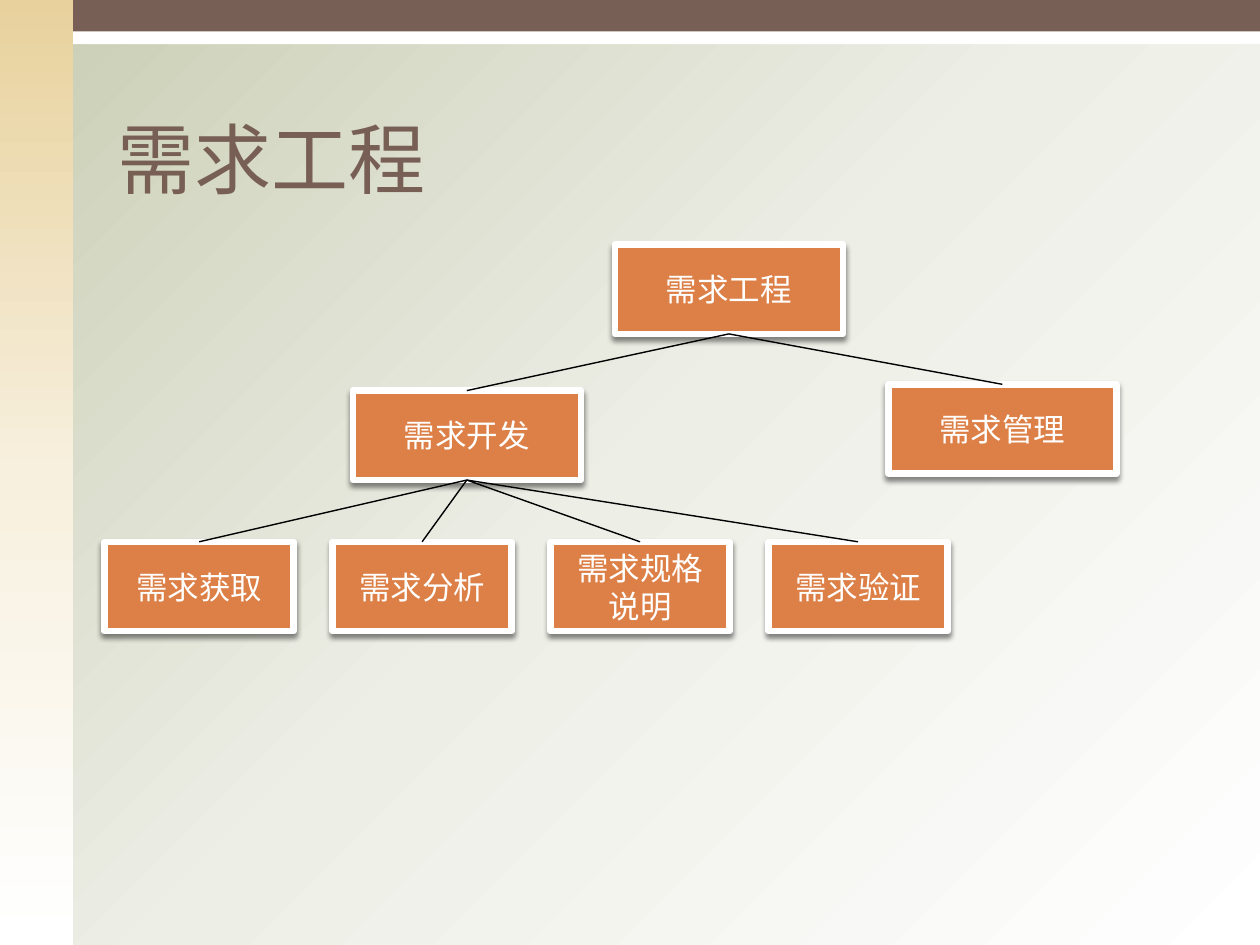
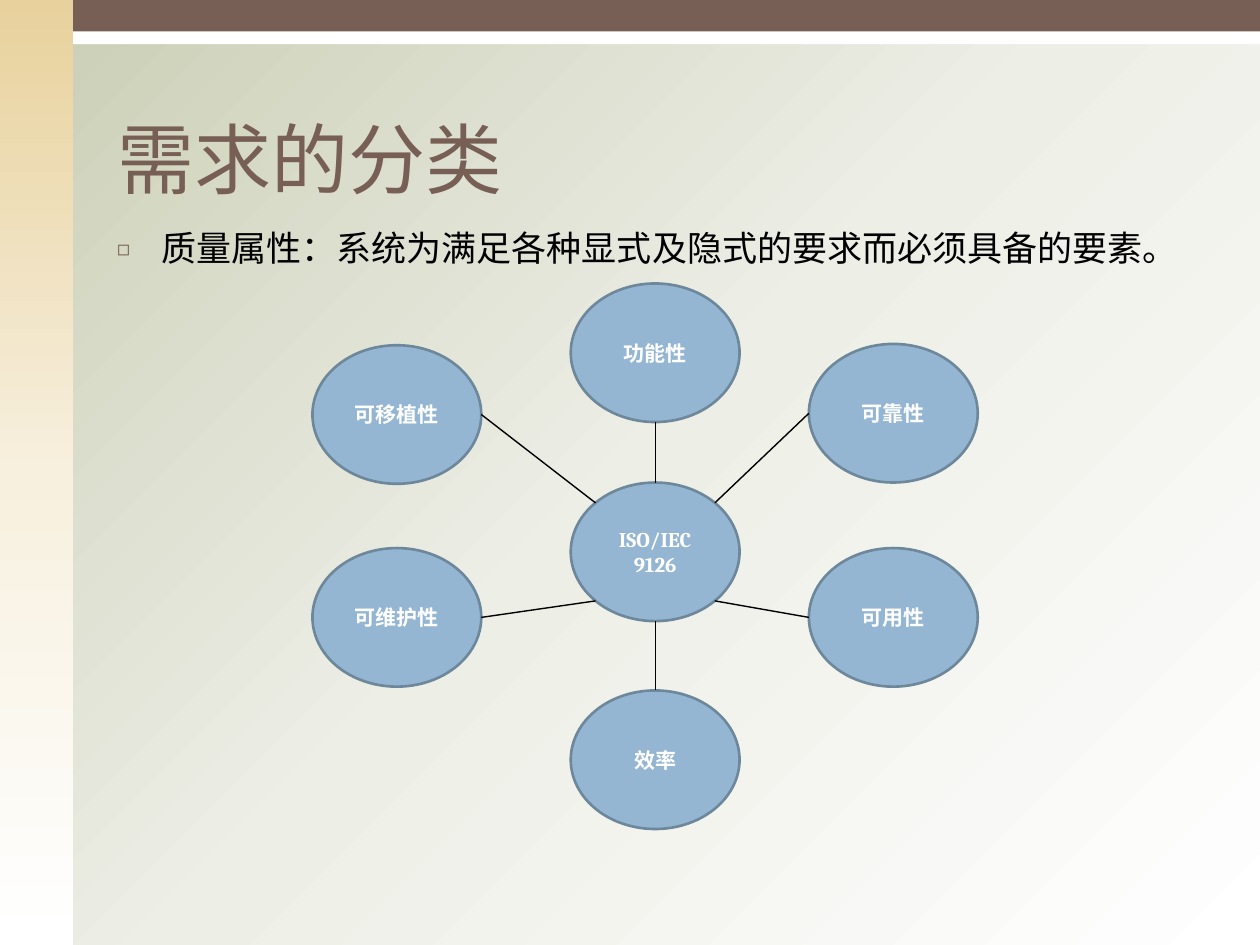
from copy import deepcopy
from dataclasses import dataclass
from math import sqrt

from lxml import etree
from pptx import Presentation
from pptx import util as u
from pptx.dml.color import RGBColor
from pptx.enum import shapes, text
from pptx.oxml import ns

PX = 9144  # EMU per px, 100 px to the inch
WIDE, HIGH = 1000, 750
KIND = shapes.MSO_SHAPE
ALIGN = text.PP_ALIGN


@dataclass(frozen=True)
class Theme:
    brown: str = "775F55"
    orange: str = "DD8047"
    blue: str = "94B6D2"
    slate: str = "6D879B"
    white: str = "FFFFFF"
    black: str = "000000"
    sage: tuple = ("C9CDB3", "EDEEE6", "FFFFFF")
    sand: tuple = ("E8D19D", "F7F0DE", "FFFFFF")
    han: str = "Noto Sans CJK SC"
    latin: str = "Cambria"
    head: int = 44
    body: int = 20
    box: int = 18
    node: int = 12
    thin: float = 0.79


def rgb(code):
    return RGBColor.from_string(code)


def px(*sizes):
    return [round(size * PX) for size in sizes]


def sub(parent, tag, **attrs):
    return etree.SubElement(parent, ns.qn(tag), attrs)


class Deck:
    def __init__(self, theme):
        self.theme = theme
        self.prs = Presentation()
        self.prs.slide_width, self.prs.slide_height = px(WIDE, HIGH)
        self.slide = None

    def page(self, layout, title):
        self.slide = self.prs.slides.add_slide(self.prs.slide_layouts[layout])
        head = self.slide.shapes.title
        self.place(head, 83, 42, 875, 125, text.MSO_ANCHOR.BOTTOM)
        self.label(head, [title], self.theme.head, self.theme.brown,
                   ALIGN.LEFT)

    def place(self, item, x, y, w, h, anchor):
        item.left, item.top, item.width, item.height = px(x, y, w, h)
        item.text_frame.auto_size = text.MSO_AUTO_SIZE.NONE
        item.text_frame.vertical_anchor = anchor

    def label(self, item, rows, size, color, align, bold=False, face=None):
        face = face or self.theme.han
        frame = item.text_frame
        frame.word_wrap = True
        for i, row in enumerate(rows):
            para = frame.add_paragraph() if i else frame.paragraphs[0]
            para.alignment = align
            run = para.add_run()
            run.text = row
            font = run.font
            font.size, font.bold, font.name = u.Pt(size), bold, face
            font.color.rgb = rgb(color)
            sub(run._r.get_or_add_rPr(), "a:ea", typeface=face)

    def bullet(self, words):
        item = self.slide.placeholders[1]
        self.place(item, 83, 175, 875, 58, text.MSO_ANCHOR.TOP)
        self.label(item, [words], self.theme.body, self.theme.black,
                   ALIGN.LEFT)
        para = item.text_frame.paragraphs[0]
        para.space_before = u.Pt(7)
        props = para._p.get_or_add_pPr()
        props.set("marL", str(35 * PX))
        props.set("indent", str(-35 * PX))
        sub(sub(props, "a:buClr"), "a:srgbClr", val=self.theme.brown)
        sub(props, "a:buSzPct", val="60000")
        sub(props, "a:buFont", typeface=self.theme.han)
        sub(props, "a:buChar", char="◻")

    def shape(self, kind, x, y, w, h, fill=None, edge=None, width=0):
        item = self.slide.shapes.add_shape(kind, *px(x, y, w, h))
        item.shadow.inherit = False
        if fill:
            item.fill.solid()
            item.fill.fore_color.rgb = rgb(fill)
        if edge:
            item.line.color.rgb = rgb(edge)
            item.line.width = u.Pt(width)
        else:
            item.line.fill.background()
        return item

    def grade(self, fill, root, colors, angle):
        fill.gradient()
        fill.gradient_angle = 360 - angle
        stops = next(root.iter(ns.qn("a:gsLst")))
        stops.insert(1, deepcopy(stops[0]))
        for i, (stop, color) in enumerate(zip(fill.gradient_stops, colors)):
            stop.position = i / 2
            stop.color.rgb = rgb(color)

    def frame(self):
        """Set the backdrop and move the bands into the slide master."""
        master, theme = self.prs.slide_master, self.theme
        self.grade(master.background.fill, master.element, theme.sage, 45)
        side = self.shape(KIND.RECTANGLE, 0, 0, 58, HIGH)
        self.grade(side.fill, side.element, theme.sand, 90)
        bands = [
            self.shape(KIND.RECTANGLE, 0, 0, WIDE, 35, theme.white),
            side,
            self.shape(KIND.RECTANGLE, 58, 0, WIDE - 58, 25, theme.brown),
        ]
        tree = master.element.cSld.spTree
        for i, band in enumerate(bands):
            band.element.nvSpPr.cNvPr.set("id", str(20 + i))
            tree.insert(2 + i, band.element)

    def box(self, words, x, y, w):
        theme = self.theme
        item = self.shape(KIND.RECTANGLE, x, y, w, 71, theme.orange,
                          theme.white, 3.75)
        glow = sub(item.element.spPr.find(ns.qn("a:effectLst")),
                   "a:outerShdw", blurRad=str(u.Pt(3)), dist=str(u.Pt(2.4)),
                   dir="5400000", algn="ctr", rotWithShape="0")
        tint = sub(glow, "a:srgbClr", val=theme.black)
        sub(tint, "a:alpha", val="45000")
        self.label(item, [words], theme.box, theme.white, ALIGN.CENTER)
        return item

    def node(self, rows, x, y, rx, ry, face=None):
        theme = self.theme
        item = self.shape(KIND.OVAL, x - rx, y - ry, 2 * rx, 2 * ry,
                          theme.blue, theme.slate, 1.5)
        self.label(item, rows, theme.node, theme.white, ALIGN.CENTER, True,
                   face)

    def line(self, x1, y1, x2, y2):
        item = self.slide.shapes.add_connector(
            shapes.MSO_CONNECTOR.STRAIGHT, *px(x1, y1, x2, y2))
        item.line.color.rgb = rgb(self.theme.black)
        item.line.width = u.Pt(self.theme.thin)
        sub(item.element.spPr, "a:effectLst")
        return item

    def link(self, upper, lower):
        item = self.line(0, 0, 0, 0)
        item.begin_connect(upper, 2)
        item.end_connect(lower, 0)


def tree(deck):
    deck.page(5, "需求工程")
    deck.frame()
    # Boxes, level by level
    root = deck.box("需求工程", 488, 194, 181)
    dev = deck.box("需求开发", 280, 310, 181)
    admin = deck.box("需求管理", 705, 305, 181)
    leaves = [deck.box("需求获取", 83, 430, 150)]
    for i, words in enumerate(("需求分析", "需求规格说明", "需求验证")):
        leaves.append(deck.box(words, 264 + 173 * i, 430, 142))
    # Branches
    for upper, lowers in ((root, (dev, admin)), (dev, leaves)):
        for lower in lowers:
            deck.link(upper, lower)


def ring(deck):
    deck.page(1, "需求的分类")
    deck.bullet("质量属性：系统为满足各种显式及隐式的要求而必须具备的要素。")
    # Hub and the traits around it, by centre
    cx, cy, rx, ry = 520, 438, 67, 55
    deck.node(["ISO/IEC", "9126"], cx, cy, rx, ry, deck.theme.latin)
    traits = (
        ("功能性", cx, 280), ("效率", cx, 603),
        ("可移植性", 315, 329), ("可靠性", 709, 328),
        ("可维护性", 315, 490), ("可用性", 709, 490),
    )
    for words, x, y in traits:
        deck.node([words], x, y, rx, ry)
    # Spokes leave the hub straight up, straight down or diagonally
    for _, x, y in traits:
        col = (x > cx) - (x < cx)
        row = 1 if y > cy else -1
        if col:
            dx, dy = col * rx / sqrt(2), row * ry / sqrt(2)
            deck.line(x - col * rx, y, cx + dx, cy + dy)
        else:
            deck.line(x, y - row * ry, cx, cy + row * ry)


def main():
    deck = Deck(Theme())
    tree(deck)
    ring(deck)
    deck.prs.save("out.pptx")


if __name__ == "__main__":
    main()
